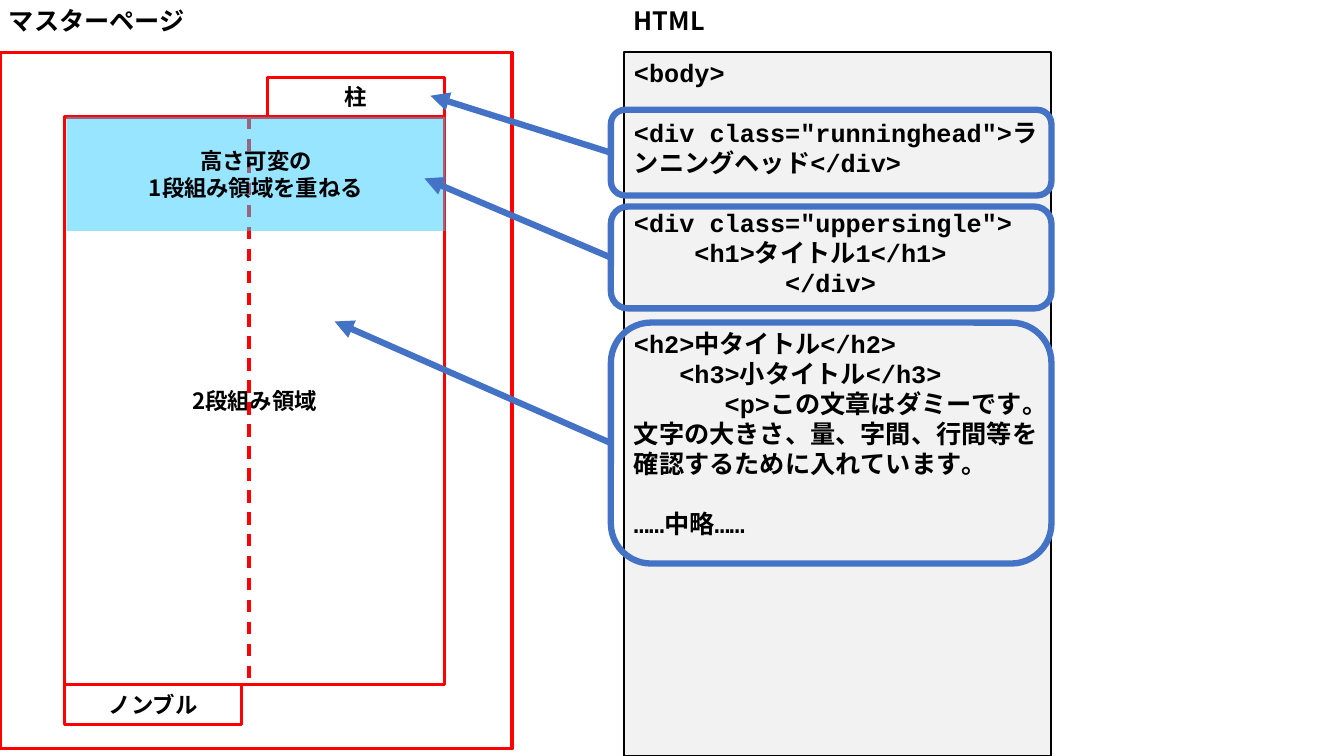
"""Build a slide that maps HTML blocks to the areas of a master page."""
from dataclasses import dataclass

from lxml import etree
from pptx import Presentation
from pptx import util as u
from pptx.dml.color import RGBColor
from pptx.enum import dml, lang, shapes, text
from pptx.oxml.ns import qn


@dataclass(frozen=True)
class Theme:
    frame: str = "FF0000"
    overlay: str = "33CCFF"
    panel: str = "F2F2F2"
    ink: str = "000000"
    accent: str = "4472C4"
    sans: str = "Noto Sans CJK JP"
    mono: str = "Courier New"
    label_size: float = 16
    heading_size: float = 18
    code_pitch: float = 21.5
    code_indent: float = 0.15
    frame_line: float = 2.25
    panel_line: float = 1.5
    accent_line: float = 4.5


THEME = Theme()
WIDTH, HEIGHT = u.Inches(13.33), u.Inches(7.5)
RECT = shapes.MSO_SHAPE.RECTANGLE
ROUND = shapes.MSO_SHAPE.ROUNDED_RECTANGLE
TOP = 6.93
BODY_LEFT, BODY_TOP, BODY_WIDTH, BODY_HEIGHT = 4.8, 15.47, 28.28, 75.07
TAG_WIDTH, TAG_HEIGHT = 13.2, 5.27
CODE_LEFT, CODE_WIDTH = 46.43, 31.8
CALLOUT_LEFT, CALLOUT_WIDTH = 45.45, 32.78

CODE = [
    ("<body>", 0, False),
    ('<div class="runninghead">ランニングヘッド</div>', 0, True),
    ('<div class="uppersingle">', 0, True),
    ("<h1>タイトル1</h1>", 4, False),
    ("</div>", 10, False),
    ("<h2>中タイトル</h2>", 0, True),
    ("<h3>小タイトル</h3>", 3, False),
    ("<p>この文章はダミーです。文字の大きさ、量、字間、行間等を確認するために入れています。", 6, False),
    ("……中略……", 0, True),
]
CALLOUTS = [
    (14.53, 11.33, (32.03, 12.67)),
    (27.33, 13.47, (31.58, 23.6)),
    (42.67, 31.87, (24.9, 42.53)),
]


def place(col, row):
    """Turn percentages of the slide's width and height into lengths."""
    return round(WIDTH * col / 100), round(HEIGHT * row / 100)


def add_span(para, words, font, size):
    """Add one bold run with the same Latin and East Asian font."""
    span = para.add_run()
    span.text = words
    span.font.name, span.font.size, span.font.bold = font, u.Pt(size), True
    span.font.color.rgb = RGBColor.from_string(THEME.ink)
    span.font.language_id = lang.MSO_LANGUAGE_ID.JAPANESE
    latin = span.font._element.find(qn("a:latin"))
    east = etree.Element(qn("a:ea"), typeface=font)
    latin.addnext(east)


def add_box(canvas, area, kind=RECT, line=None, weight=0, fill=None, alpha=None):
    """Add a preset shape with an optional outline and fill."""
    box = canvas.add_shape(kind, *place(*area[:2]), *place(*area[2:]))
    box.shadow.inherit = False
    if fill:
        box.fill.solid()
        box.fill.fore_color.rgb = RGBColor.from_string(fill)
    else:
        box.fill.background()
    if alpha:
        color = box._element.spPr.find(".//" + qn("a:srgbClr"))
        etree.SubElement(color, qn("a:alpha"), val=str(alpha * 1000))
    if line:
        box.line.color.rgb = RGBColor.from_string(line)
        box.line.width = u.Pt(weight)
    else:
        box.line.fill.background()
    return box


def add_label(box, *lines):
    """Centre lines of label text in a box."""
    frame = box.text_frame
    frame.word_wrap = True
    frame.vertical_anchor = text.MSO_ANCHOR.MIDDLE
    for index, words in enumerate(lines):
        para = frame.add_paragraph() if index else frame.paragraphs[0]
        para.alignment = text.PP_ALIGN.CENTER
        add_span(para, words, THEME.sans, THEME.label_size)


def add_line(canvas, start, end, color, weight):
    """Add a straight connector between two grid points."""
    line = canvas.add_connector(shapes.MSO_CONNECTOR.STRAIGHT, *place(*start), *place(*end))
    line.line.color.rgb = RGBColor.from_string(color)
    line.line.width = u.Pt(weight)
    etree.SubElement(line._element.spPr, qn("a:effectLst"))
    return line


def add_arrow(canvas, start, end):
    """Add an accent line with a triangle at its end."""
    arrow = add_line(canvas, start, end, THEME.accent, THEME.accent_line)
    etree.SubElement(arrow.line._get_or_add_ln(), qn("a:tailEnd"), type="triangle")


def add_heading(canvas, col, width, words):
    """Add a column heading at the top of the slide."""
    box = canvas.add_textbox(*place(col, 0), *place(width, 5.33))
    box.text_frame.word_wrap = False
    box.text_frame.auto_size = text.MSO_AUTO_SIZE.SHAPE_TO_FIT_TEXT
    add_span(box.text_frame.paragraphs[0], words, THEME.sans, THEME.heading_size)


def add_master_page(canvas):
    """Draw the page frame with its areas as one group."""
    group = canvas.add_group_shape().shapes
    outline = {"line": THEME.frame, "weight": THEME.frame_line}
    right, bottom = BODY_LEFT + BODY_WIDTH, BODY_TOP + BODY_HEIGHT
    add_box(group, (0, TOP, 38.1, 92.13), **outline)
    body = add_box(group, (BODY_LEFT, BODY_TOP, BODY_WIDTH, BODY_HEIGHT), **outline)
    add_label(body, "2段組み領域")
    divider = add_line(group, (18.53, BODY_TOP), (18.53, 89.73), THEME.frame, THEME.frame_line)
    divider.line.dash_style = dml.MSO_LINE.DASH
    tags = [("柱", right - TAG_WIDTH, BODY_TOP - TAG_HEIGHT), ("ノンブル", BODY_LEFT, bottom)]
    for words, col, row in tags:
        add_label(add_box(group, (col, row, TAG_WIDTH, TAG_HEIGHT), **outline), words)
    overlay = add_box(group, (4.95, BODY_TOP, 28.2, 15.07), fill=THEME.overlay, alpha=50)
    add_label(overlay, "高さ可変の", "1段組み領域を重ねる")


def add_code(canvas):
    """Draw the HTML panel with one paragraph per element."""
    area = (CODE_LEFT, TOP, CODE_WIDTH, 100 - TOP)
    panel = add_box(canvas, area, line=THEME.ink, weight=THEME.panel_line, fill=THEME.panel)
    frame = panel.text_frame
    frame.word_wrap = True
    frame.vertical_anchor = text.MSO_ANCHOR.TOP
    for index, (words, indent, gap) in enumerate(CODE):
        para = frame.add_paragraph() if index else frame.paragraphs[0]
        para.alignment = text.PP_ALIGN.LEFT
        para.line_spacing = u.Pt(THEME.code_pitch)
        para.space_before = u.Pt(THEME.code_pitch if gap else 0)
        para._p.get_or_add_pPr().set("indent", str(u.Inches(THEME.code_indent * indent)))
        add_span(para, words, THEME.mono, THEME.heading_size)


def main():
    """Compose and save the slide."""
    deck = Presentation()
    deck.slide_width, deck.slide_height = WIDTH, HEIGHT
    canvas = deck.slides.add_slide(deck.slide_layouts[6]).shapes
    add_master_page(canvas)
    add_heading(canvas, -0.08, 14.78, "マスターページ")
    add_code(canvas)
    add_heading(canvas, CODE_LEFT, 7.2, "HTML")
    for row, height, target in CALLOUTS:
        add_arrow(canvas, (CALLOUT_LEFT, row + height / 2), target)
    for row, height, _ in CALLOUTS:
        area = (CALLOUT_LEFT, row, CALLOUT_WIDTH, height)
        add_box(canvas, area, ROUND, THEME.accent, THEME.accent_line)
    deck.save("out.pptx")


main()
